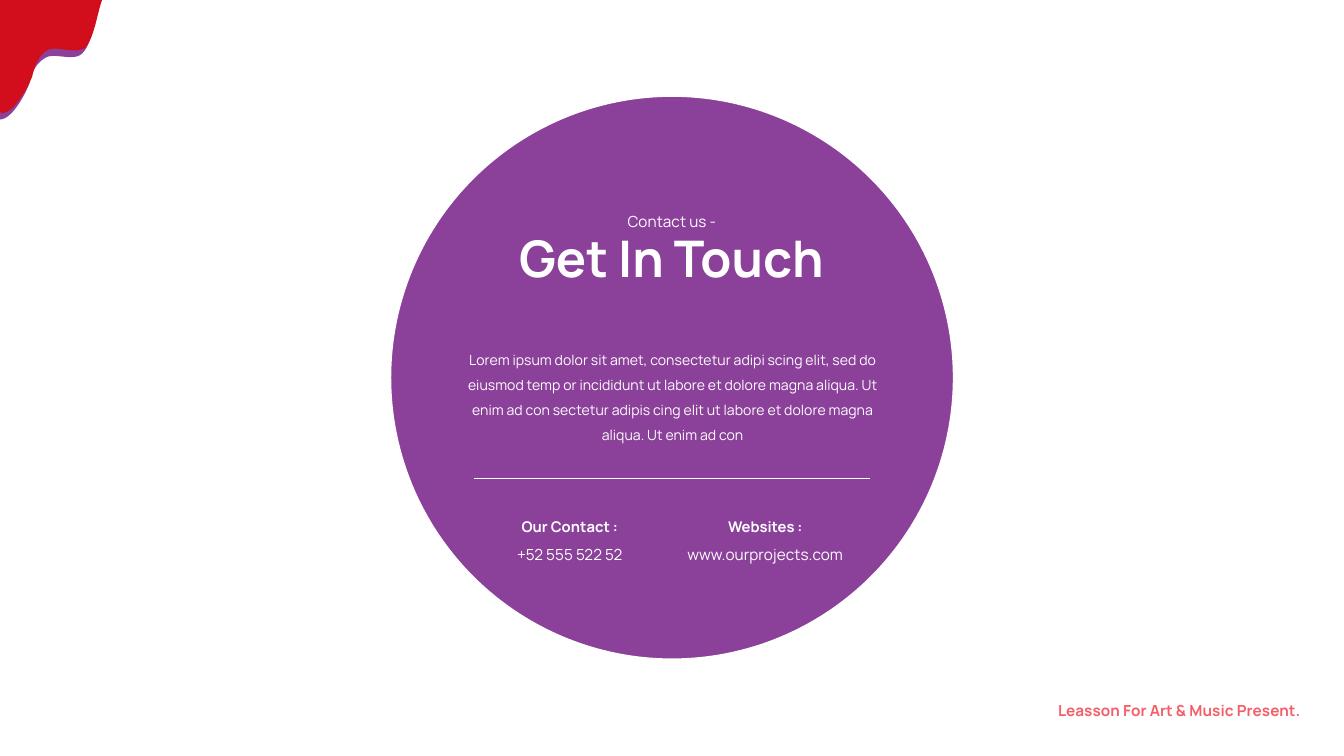
from lxml.etree import SubElement
from pptx import Presentation
from pptx.dml.color import RGBColor
from pptx.enum.shapes import MSO_CONNECTOR as Connector, MSO_SHAPE as Shape
from pptx.enum.text import MSO_ANCHOR as Anchor, MSO_AUTO_SIZE as AutoSize, PP_ALIGN as Align
from pptx.oxml.ns import qn
from pptx.util import Inches, Pt

WIDTH = 10
HEIGHT = WIDTH * 9 / 16
PURPLE, RED, PINK, WHITE = "8B409A", "D20E1C", "F45E69", "FFFFFF"
FONT = "Manrope"
SMALL = 8.25
CURVE_STEPS = 12
TIGHT = (0.07, 0.04)
NORMAL = (0.1, 0.05)

# Corner drips: the outline's straight start, the curves, each as
# two control points and an end. All points are page inches.
PURPLE_DRIP = (
    [(0, 0.06), (0.73, 0.06)],
    [((0.71, 0.14), (0.68, 0.34), (0.61, 0.40)),
     ((0.55, 0.46), (0.40, 0.39), (0.34, 0.43)),
     ((0.27, 0.47), (0.24, 0.53), (0.22, 0.62)),
     ((0.19, 0.70), (0.09, 0.89), (0, 0.89))],
)
RED_DRIP = (
    [(0, 0.83), (0, 0), (0.76, 0)],
    [((0.73, 0.08), (0.70, 0.28), (0.64, 0.35)),
     ((0.57, 0.41), (0.43, 0.34), (0.36, 0.37)),
     ((0.29, 0.41), (0.26, 0.48), (0.24, 0.57)),
     ((0.21, 0.65), (0.09, 0.86), (0.01, 0.84))],
)


def color(value):
    return RGBColor.from_string(value)


def inches(*values):
    return [Inches(value) for value in values]


def curve_points(start, first, second, end):
    """Points along a cubic curve, without its start."""
    for step in range(1, CURVE_STEPS + 1):
        t = step / CURVE_STEPS
        weights = ((1 - t) ** 3, 3 * t * (1 - t) ** 2, 3 * t ** 2 * (1 - t), t ** 3)
        yield tuple(sum(weight * point[axis] for weight, point
                        in zip(weights, (start, first, second, end)))
                    for axis in (0, 1))


def add_drip(shapes, outline, fill):
    corners, curves = outline
    points = list(corners)
    for curve in curves:
        points.extend(curve_points(points[-1], *curve))
    builder = shapes.build_freeform(*inches(*points[0]))
    builder.add_line_segments([inches(*point) for point in points[1:]], close=True)
    drip = builder.convert_to_shape()
    drip.shadow.inherit = False
    drip.fill.solid()
    drip.fill.fore_color.rgb = color(fill)
    drip.line.fill.background()


def add_circle(page, diameter, top):
    circle = page.shapes.add_shape(
        Shape.OVAL, *inches((WIDTH - diameter) / 2, top, diameter, diameter))
    circle.shadow.inherit = False
    circle.fill.solid()
    circle.fill.fore_color.rgb = color(PURPLE)
    circle.line.color.rgb = color(WHITE)
    circle.line.width = Pt(3)


def add_rule(page, length, top):
    left = (WIDTH - length) / 2
    rule = page.shapes.add_connector(
        Connector.STRAIGHT, *inches(left, top, left + length, top))
    rule.line.color.rgb = color(WHITE)
    rule.line.width = Pt(0.5)
    SubElement(rule.element.spPr, qn("a:effectLst"))


def write(box, text, size, bold=False, fill=WHITE, align=Align.CENTER,
          spacing=1.0, insets=NORMAL):
    frame = box.text_frame
    side, edge = inches(*insets)
    settings = dict(word_wrap=True, auto_size=AutoSize.SHAPE_TO_FIT_TEXT,
                    vertical_anchor=Anchor.TOP, margin_left=side,
                    margin_right=side, margin_top=edge, margin_bottom=edge)
    for name, value in settings.items():
        setattr(frame, name, value)
    para = frame.paragraphs[0]
    for name, value in dict(alignment=align, line_spacing=spacing,
                            space_before=Pt(0)).items():
        setattr(para, name, value)
    span = para.add_run()
    span.text = text
    for name, value in dict(name=FONT, size=Pt(size), bold=bold).items():
        setattr(span.font, name, value)
    span.font.color.rgb = color(fill)


def add_text(page, place, text, size, **style):
    write(page.shapes.add_textbox(*inches(*place)), text, size, **style)


def fill_placeholder(page, box, place, text, size, **style):
    """Move a placeholder to its place, in front of the circle."""
    box.left, box.top, box.width, box.height = inches(*place)
    page.shapes.element.append(box.element)
    write(box, text, size, **style)


def remove_bullet(box):
    props = box.text_frame.paragraphs[0]._p.get_or_add_pPr()
    props.set("marL", "0")
    props.set("indent", "0")
    SubElement(props, qn("a:buNone"))


def add_contact(page, left, width, label, value):
    add_text(page, (left, 3.8, width, 0.23), label, 7.9, bold=True)
    add_text(page, (left, 4.01, width, 0.24), value, SMALL)


def main():
    deck = Presentation()
    deck.slide_width, deck.slide_height = inches(WIDTH, HEIGHT)
    page = deck.slides.add_slide(deck.slide_layouts[1])
    title, body = page.placeholders

    # Corner decoration and footer
    drips = page.shapes.add_group_shape().shapes
    add_drip(drips, PURPLE_DRIP, PURPLE)
    add_drip(drips, RED_DRIP, RED)
    add_text(page, (6.94, 5.11, 2.81, 0.28), "Leasson For Art & Music Present.",
             SMALL, bold=True, fill=PINK, align=Align.RIGHT, spacing=1.5, insets=TIGHT)

    # Circle with the contact details
    add_circle(page, diameter=4.22, top=0.7)
    add_contact(page, 3.18, 2.12, "Our Contact :", "+52 555 522 52")
    add_contact(page, 4.87, 1.65, "Websites :", "www.ourprojects.com")

    # Body, title and kicker
    remove_bullet(body)
    fill_placeholder(
        page, body, (3.37, 2.5, 3.27, 0.86),
        "Lorem ipsum dolor sit amet, consectetur adipi scing elit, sed do "
        "eiusmod temp or incididunt ut labore et dolore magna aliqua. Ut "
        "enim ad con sectetur adipis cing elit ut labore et dolore magna "
        "aliqua. Ut enim ad con", 7.5, spacing=1.5)
    fill_placeholder(page, title, (2.4, 1.64, 5.19, 0.56), "Get In Touch", 27, bold=True)
    add_text(page, (4.37, 1.47, 1.26, 0.28), "Contact us -", SMALL,
             spacing=1.5, insets=TIGHT)
    add_rule(page, length=2.94, top=3.56)

    deck.save("out.pptx")


if __name__ == "__main__":
    main()
